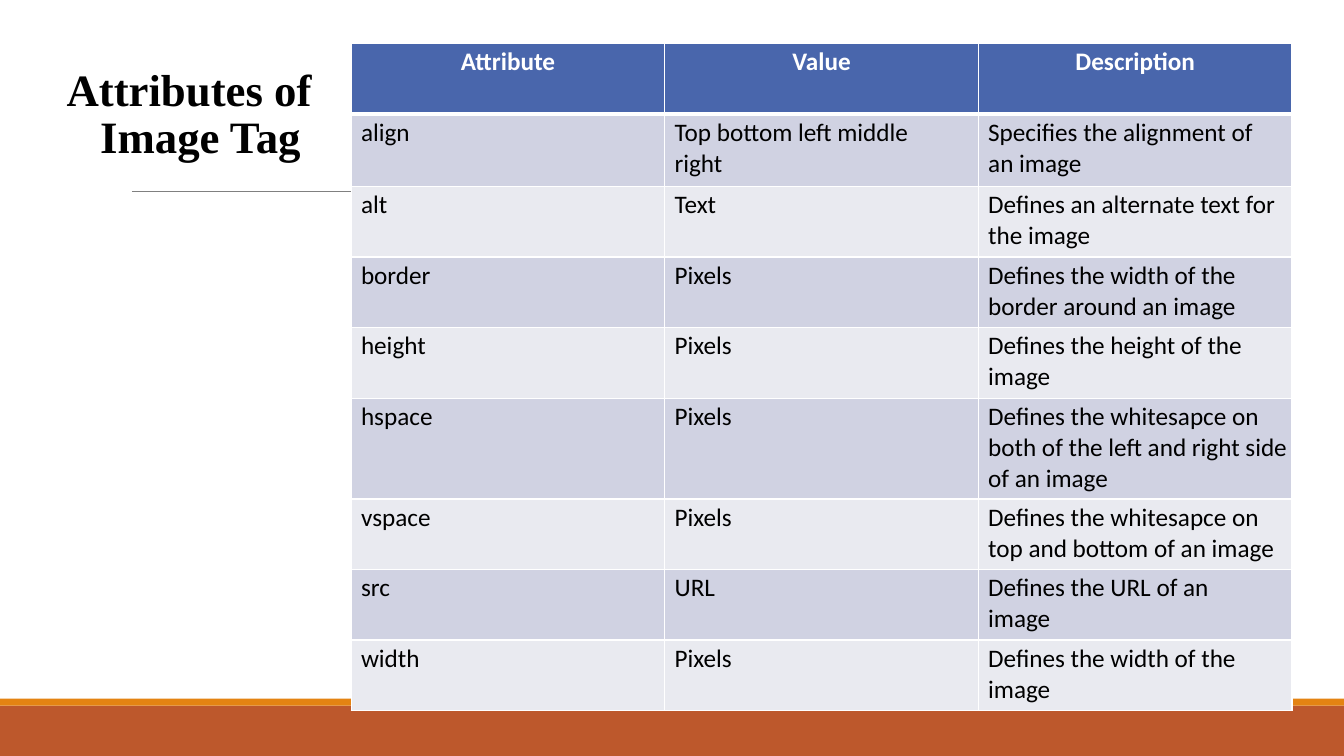
from pptx import Presentation
from pptx.dml.color import RGBColor
from pptx.enum.shapes import MSO_CONNECTOR, MSO_SHAPE
from pptx.enum.text import MSO_ANCHOR, PP_ALIGN
from pptx.oxml import parse_xml
from pptx.oxml.ns import nsdecls
from pptx.util import Pt
from lxml import etree

HEADERS = ["Attribute", "Value", "Description"]
ATTRIBUTES = [
    ("align", "Top bottom left middle\nright", "Specifies the alignment of\nan image"),
    ("alt", "Text", "Defines an alternate text for\nthe image"),
    ("border", "Pixels", "Defines the width of the\nborder around an image"),
    ("height", "Pixels", "Defines the height of the\nimage"),
    ("hspace", "Pixels", "Defines the whitesapce on both of the left and right side of an image"),
    ("vspace", "Pixels", "Defines the whitesapce on\ntop and bottom of an image"),
    ("src", "URL", "Defines the URL of an\nimage"),
    ("width", "Pixels", "Defines the width of the\nimage"),
]
ROW_HEIGHTS = [50.4, 51.8, 50.4, 50.4, 50.4, 72, 50.4, 50.4, 50.4]


def color(value):
    """Turn a hex string into a colour."""
    return RGBColor.from_string(value)


def style_font(p, name, size, fill, bold):
    """Format every run of a paragraph."""
    for r in p.runs:
        r.font.name, r.font.size, r.font.bold = name, Pt(size), bold
        r.font.color.rgb = color(fill)


def add_bar(s, x, y, w, h, fill):
    """Draw a plain filled bar."""
    sp = s.shapes.add_shape(MSO_SHAPE.RECTANGLE, Pt(x), Pt(y), Pt(w), Pt(h))
    sp.shadow.inherit = False
    sp.fill.solid()
    sp.fill.fore_color.rgb = color(fill)
    sp.line.fill.background()


def add_footer(s, x, y, w, h):
    """Draw the thin orange band above the rust band."""
    band = 5
    add_bar(s, x, y + band, w, h - band, "BD582C")
    add_bar(s, x, y, w, band, "E48312")


def add_rule(s, x, y, w):
    """Draw the grey rule under the title."""
    line = s.shapes.add_connector(MSO_CONNECTOR.STRAIGHT, Pt(x), Pt(y), Pt(x + w), Pt(y))
    line.line.color.rgb = color("808080")
    line.line.width = Pt(0.5)
    etree.SubElement(line.line._get_or_add_ln().getparent(),
                     "{http://schemas.openxmlformats.org/drawingml/2006/main}effectLst")


def add_title(s, x, y, w, h):
    """Place the title with its second line indented."""
    sp = s.shapes.title
    sp.left, sp.top, sp.width, sp.height = Pt(x), Pt(y), Pt(w), Pt(h)
    tf = sp.text_frame
    tf.text = "Attributes of Image Tag"
    tf.word_wrap = True
    tf.vertical_anchor = MSO_ANCHOR.BOTTOM
    tf.margin_left = tf.margin_right = tf.margin_top = tf.margin_bottom = 0
    p = tf.paragraphs[0]
    p.alignment = PP_ALIGN.LEFT
    p.line_spacing = Pt(33.8)
    pPr = p._p.get_or_add_pPr()
    pPr.set("marL", str(Pt(24)))
    pPr.set("indent", str(Pt(-24)))
    style_font(p, "Times New Roman", 32, "000000", True)


def set_borders(cell, top, bottom):
    """Give a cell white borders of the given top and bottom widths."""
    tcPr = cell._tc.get_or_add_tcPr()
    for side, width in (("L", 1), ("R", 1), ("T", top), ("B", bottom)):
        tcPr.append(parse_xml(
            f'<a:ln{side} {nsdecls("a")} w="{Pt(width)}"><a:solidFill>'
            f'<a:srgbClr val="FFFFFF"/></a:solidFill></a:ln{side}>'))


def fill_cell(cell, text, row):
    """Write and format one table cell."""
    header = row == 0
    set_borders(cell, 3 if row == 1 else 1, 3 if header else 1)
    cell.fill.solid()
    cell.fill.fore_color.rgb = color("4966AC" if header else "D0D2E2" if row % 2 else "E9EAF0")
    cell.margin_left = Pt(0 if header else 7)
    cell.margin_right = cell.margin_bottom = 0
    cell.margin_top = Pt(2.4)
    cell.text_frame.text = text
    for p in cell.text_frame.paragraphs:
        p.alignment = PP_ALIGN.CENTER if header else PP_ALIGN.LEFT
        style_font(p, "Calibri", 18, "FFFFFF" if header else "000000", header)


def add_attribute_table(s, x, y, w, h):
    """Place the table of image attributes."""
    rows = [HEADERS, *ATTRIBUTES]
    table = s.shapes.add_table(len(rows), len(HEADERS), Pt(x), Pt(y), Pt(w), Pt(h)).table
    for column in table.columns:
        column.width = Pt(w / len(HEADERS))
    for i, (texts, height) in enumerate(zip(rows, ROW_HEIGHTS)):
        table.rows[i].height = Pt(height)
        for j, text in enumerate(texts):
            fill_cell(table.cell(i, j), text, i)


def main():
    """Build the slide and save it."""
    prs = Presentation()
    prs.slide_width, prs.slide_height = Pt(960), Pt(540)
    s = prs.slides.add_slide(prs.slide_layouts[5])
    add_footer(s, 0, 499, 960, 41)
    add_rule(s, 94.3, 136.8, 784.8)
    add_title(s, 47.5, 47.5, 177, 68.5)
    add_attribute_table(s, 250.9, 31, 672, sum(ROW_HEIGHTS))
    prs.save("out.pptx")


if __name__ == "__main__":
    main()
